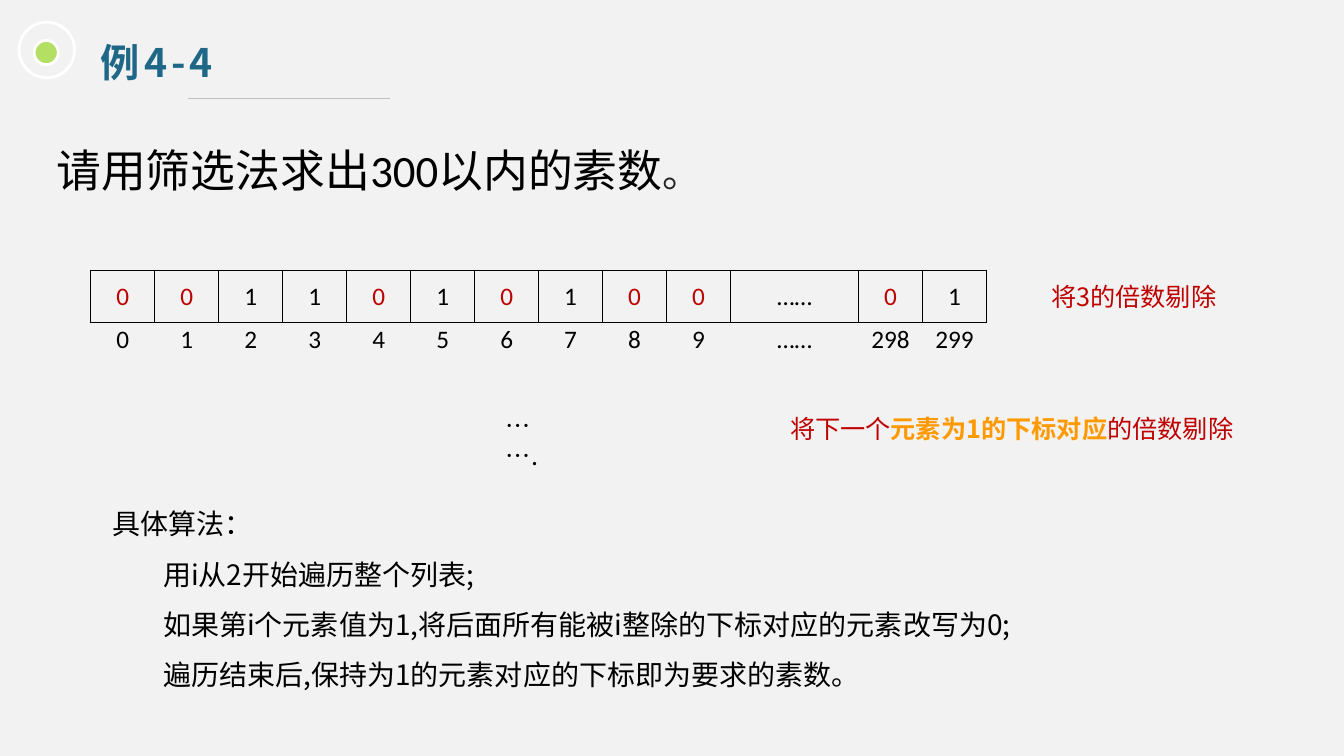
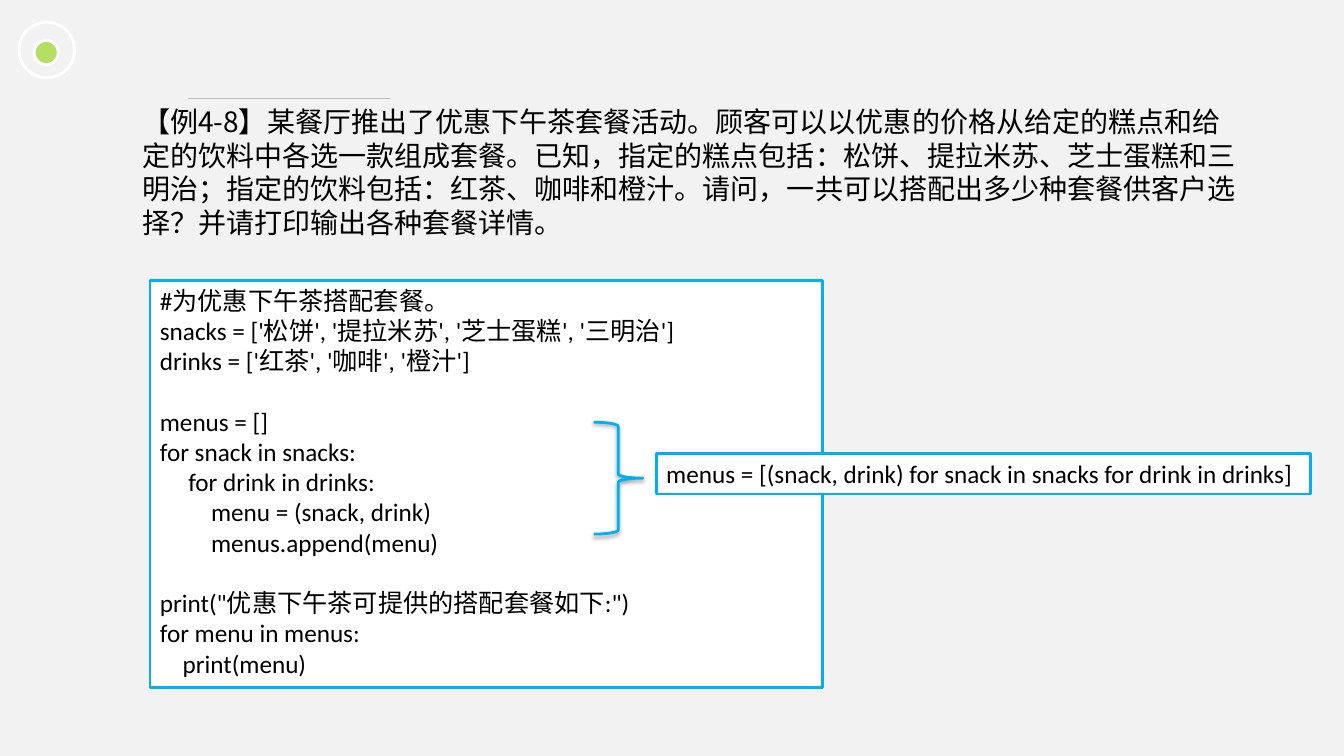
from dataclasses import dataclass
from typing import Optional

from lxml import etree
from pptx import Presentation
from pptx.dml.color import RGBColor
from pptx.enum.shapes import MSO_CONNECTOR, MSO_SHAPE
from pptx.enum.text import MSO_ANCHOR, PP_ALIGN
from pptx.oxml.ns import qn
from pptx.util import Cm, Pt

CENTER, LEFT = PP_ALIGN.CENTER, PP_ALIGN.LEFT
MIDDLE = MSO_ANCHOR.MIDDLE
OVAL, RIGHT_BRACE = MSO_SHAPE.OVAL, MSO_SHAPE.RIGHT_BRACE
STRAIGHT = MSO_CONNECTOR.STRAIGHT

PAPER = RGBColor(0xF2, 0xF2, 0xF2)
WHITE = RGBColor(0xFF, 0xFF, 0xFF)
BLACK = RGBColor(0x00, 0x00, 0x00)
INK = RGBColor(0x26, 0x26, 0x26)
TEAL = RGBColor(0x1E, 0x67, 0x87)
GREEN = RGBColor(0xB3, 0xDF, 0x63)
GRAY = RGBColor(0xBF, 0xBF, 0xBF)
RED = RGBColor(0xC0, 0x00, 0x00)
ORANGE = RGBColor(0xFF, 0x99, 0x00)
SKY = RGBColor(0x00, 0xB0, 0xF0)

HAN = "Noto Sans CJK SC"
LATIN = "Calibri"
NO_STYLE = "{2D5ABB26-0587-4C30-8999-92F81FD0307C}"
CODE_LINE = Pt(21.6)

FLAGS = ["0", "0", "1", "1", "0", "1", "0", "1", "0", "0", "……", "0", "1"]
INDEXES = [*map(str, range(10)), "……", "298", "299"]
PROBLEM = (
    "【例4-8】某餐厅推出了优惠下午茶套餐活动。顾客可以以优惠的价格从给定的糕点和给定的饮料中各选一款组成套餐。"
    "已知，指定的糕点包括：松饼、提拉米苏、芝士蛋糕和三明治；指定的饮料包括：红茶、咖啡和橙汁。"
    "请问，一共可以搭配出多少种套餐供客户选择？并请打印输出各种套餐详情。"
)
CODE_BLOCKS = [
    [
        "#为优惠下午茶搭配套餐。",
        "snacks = ['松饼', '提拉米苏', '芝士蛋糕', '三明治']",
        "drinks = ['红茶', '咖啡', '橙汁']",
    ],
    [
        "menus = []",
        "for snack in snacks:",
        "     for drink in drinks:",
        "         menu = (snack, drink)",
        "         menus.append(menu)",
    ],
    [
        'print("优惠下午茶可提供的搭配套餐如下:")',
        "for menu in menus:",
        "    print(menu)",
    ],
]
COMPREHENSION = "menus = [(snack, drink) for snack in snacks for drink in drinks]"


@dataclass(frozen=True)
class Area:
    left: float
    top: float
    width: float
    height: float

    def lengths(self) -> tuple:
        return Cm(self.left), Cm(self.top), Cm(self.width), Cm(self.height)


@dataclass(frozen=True)
class Style:
    size: float
    color: RGBColor = BLACK
    face: str = HAN
    bold: bool = False
    tracking: float = 0


@dataclass(frozen=True)
class Span:
    text: str
    size: Optional[float] = None
    color: Optional[RGBColor] = None
    bold: Optional[bool] = None


@dataclass(frozen=True)
class Line:
    spans: tuple
    indent: float = 0
    spacing: Optional[float] = None
    before: int = 0


def plain(text: str, **layout) -> Line:
    return Line((Span(text),), **layout)


def write_line(paragraph, line: Line, style: Style) -> None:
    paragraph.alignment = LEFT
    if line.indent:
        paragraph.level = 1
        properties = paragraph._p.get_or_add_pPr()
        properties.set("marL", str(Cm(line.indent)))
        properties.set("indent", "0")
    if line.spacing:
        paragraph.line_spacing = line.spacing
    if line.before:
        paragraph.space_before = line.before
    font = paragraph.font
    font.size, font.bold, font.name = Pt(style.size), style.bold, style.face
    font.color.rgb = style.color
    etree.SubElement(font._rPr, qn("a:ea"), typeface=HAN)
    if style.tracking:
        font._rPr.set("spc", str(int(style.tracking * 100)))
    for span in line.spans:
        run = paragraph.add_run()
        run.text = span.text
        if span.size:
            run.font.size = Pt(span.size)
        if span.color is not None:
            run.font.color.rgb = span.color
        if span.bold is not None:
            run.font.bold = span.bold


def add_text(slide, area: Area, style: Style, *lines: Line):
    box = slide.shapes.add_textbox(*area.lengths())
    frame = box.text_frame
    frame.word_wrap = True
    for number, line in enumerate(lines):
        paragraph = frame.add_paragraph() if number else frame.paragraphs[0]
        write_line(paragraph, line, style)
    return box


def add_code(slide, area: Area, *lines: Line) -> None:
    panel = add_text(slide, area, Style(18, face=LATIN), *lines)
    panel.fill.solid()
    panel.fill.fore_color.rgb = WHITE
    panel.line.color.rgb = SKY
    panel.line.width = Pt(2)


def add_ring(group, area: Area, fill: Optional[RGBColor] = None) -> None:
    ring = group.shapes.add_shape(OVAL, *area.lengths())
    ring.shadow.inherit = False
    if fill is None:
        ring.fill.background()
    else:
        ring.fill.solid()
        ring.fill.fore_color.rgb = fill
    ring.line.color.rgb = WHITE
    ring.line.width = Pt(2)


def add_page(prs):
    slide = prs.slides.add_slide(prs.slide_layouts[6])
    slide.background.fill.solid()
    slide.background.fill.fore_color.rgb = PAPER
    emblem = slide.shapes.add_group_shape()
    add_ring(emblem, Area(0.86, 1.02, 0.61, 0.61), GREEN)
    add_ring(emblem, Area(0.48, 0.56, 1.4, 1.4))
    rule = slide.shapes.add_connector(STRAIGHT, Cm(4.75), Cm(2.49), Cm(9.83), Cm(2.49))
    rule.line.color.rgb = GRAY
    rule.line.width = Pt(0.75)
    etree.SubElement(rule._element.spPr, qn("a:effectLst"))
    return slide


def add_borders(cell) -> None:
    properties = cell._tc.get_or_add_tcPr()
    for side in ("a:lnL", "a:lnR", "a:lnT", "a:lnB"):
        edge = etree.SubElement(properties, qn(side), w=str(Pt(1)))
        paint = etree.SubElement(edge, qn("a:solidFill"))
        etree.SubElement(paint, qn("a:srgbClr"), val=str(BLACK))


def add_row(slide, top: float, values: list[str], is_sieve: bool) -> None:
    area = Area(2.29, top, 22.58, 1.32)
    table = slide.shapes.add_table(1, len(values), *area.lengths()).table
    table.first_row = table.horz_banding = False
    table._tbl.tblPr.find(qn("a:tableStyleId")).text = NO_STYLE
    unit = area.width / (len(values) + 1)
    for column, value in enumerate(values):
        table.columns[column].width = Cm(unit * (2 if value == "……" else 1))
        cell = table.cell(0, column)
        if is_sieve:
            add_borders(cell)
        cell.fill.background()
        cell.vertical_anchor = MIDDLE
        color = RED if is_sieve and value == "0" else BLACK
        paragraph = cell.text_frame.paragraphs[0]
        write_line(paragraph, plain(value), Style(18, color, LATIN))
        paragraph.alignment = CENTER


def add_brace(slide, area: Area) -> None:
    brace = slide.shapes.add_shape(RIGHT_BRACE, *area.lengths())
    brace.fill.background()
    brace.line.color.rgb = SKY
    brace.line.width = Pt(2)
    brace.shadow.inherit = False
    effects = brace._element.spPr.find(qn("a:effectLst"))
    shadow = etree.SubElement(
        effects, qn("a:outerShdw"), blurRad=str(Pt(3.1)), dist=str(Pt(1.6)),
        dir="5400000", rotWithShape="0",
    )
    tint = etree.SubElement(shadow, qn("a:srgbClr"), val=str(BLACK))
    etree.SubElement(tint, qn("a:alpha"), val="38000")


def build_sieve(prs) -> None:
    slide = add_page(prs)
    add_text(slide, Area(2.29, 0.84, 17.37, 1.45),
             Style(28, TEAL, bold=True, tracking=3), plain("例4-4"))
    add_text(slide, Area(1.17, 3.48, 31.14, 1.9), Style(32, face=LATIN),
             Line((Span("请用筛选法求出300以内的素数"), Span("。", 28, INK))))
    add_row(slide, 6.81, FLAGS, True)
    add_row(slide, 7.9, INDEXES, False)
    add_text(slide, Area(26.24, 6.96, 4.72, 1.02), Style(18, RED), plain("将3的倍数剔除"))
    add_text(slide, Area(12.5, 10.21, 1.75, 1.02), Style(18), plain("……."))
    add_text(slide, Area(19.66, 10.29, 11.81, 1.02), Style(18, RED),
             Line((Span("将下一个"),
                   Span("元素为1的下标对应", color=ORANGE, bold=True),
                   Span("的倍数剔除"))))
    steps = [
        "用i从2开始遍历整个列表;",
        "如果第i个元素值为1,将后面所有能被i整除的下标对应的元素改写为0;",
        "遍历结束后,保持为1的元素对应的下标即为要求的素数。",
    ]
    add_text(slide, Area(2.59, 12.22, 23.32, 5.23), Style(20),
             plain("具体算法：", spacing=1.5),
             *(plain(step, indent=1.27, spacing=1.5) for step in steps))


def build_menus(prs) -> None:
    slide = add_page(prs)
    add_text(slide, Area(3.33, 2.51, 28.27, 3.68), Style(20), plain(PROBLEM))
    code = [
        plain(text, before=CODE_LINE if block and not row else 0)
        for block, rows in enumerate(CODE_BLOCKS)
        for row, text in enumerate(rows)
    ]
    add_code(slide, Area(3.78, 7.06, 16.94, 10.26), *code)
    add_code(slide, Area(16.54, 11.43, 16.48, 1.02), plain(COMPREHENSION))
    add_brace(slide, Area(14.96, 10.64, 1.24, 2.82))


def main() -> None:
    prs = Presentation()
    prs.slide_width, prs.slide_height = Cm(33.87), Cm(19.05)
    build_sieve(prs)
    build_menus(prs)
    prs.save("out.pptx")


if __name__ == "__main__":
    main()
